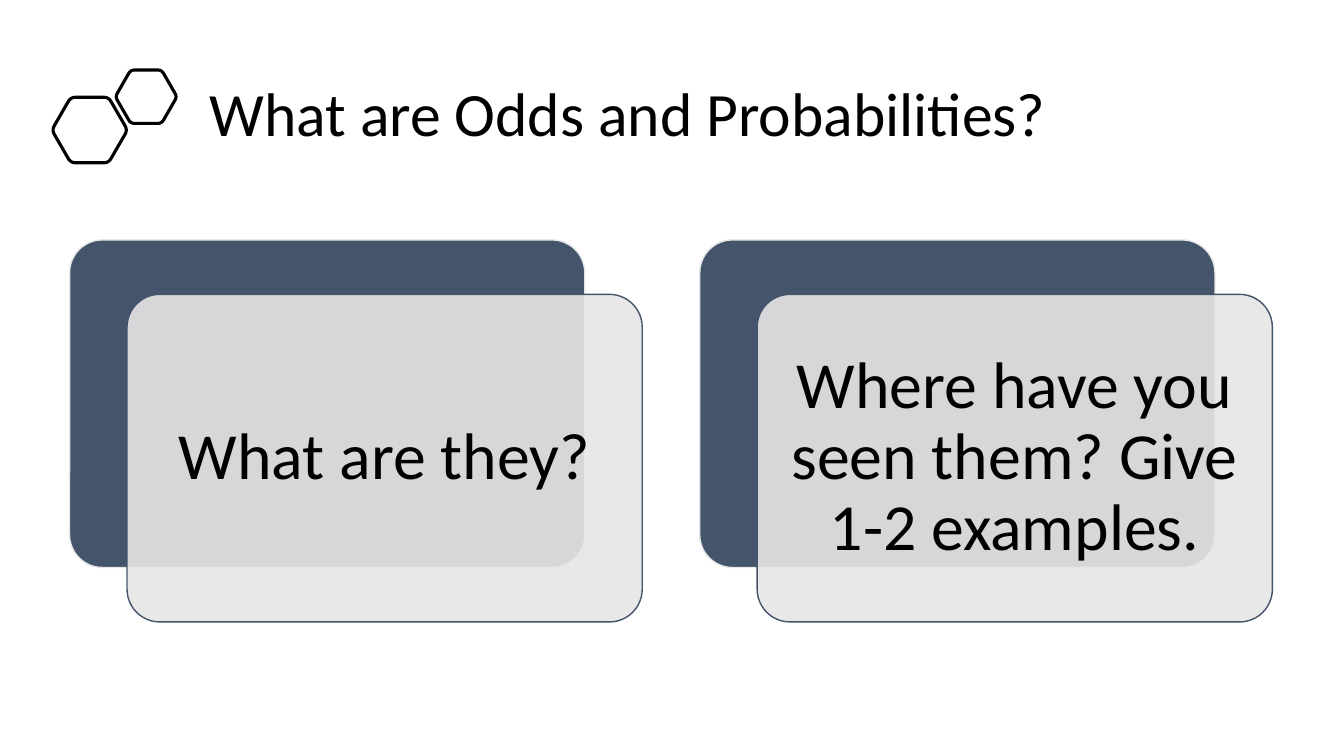
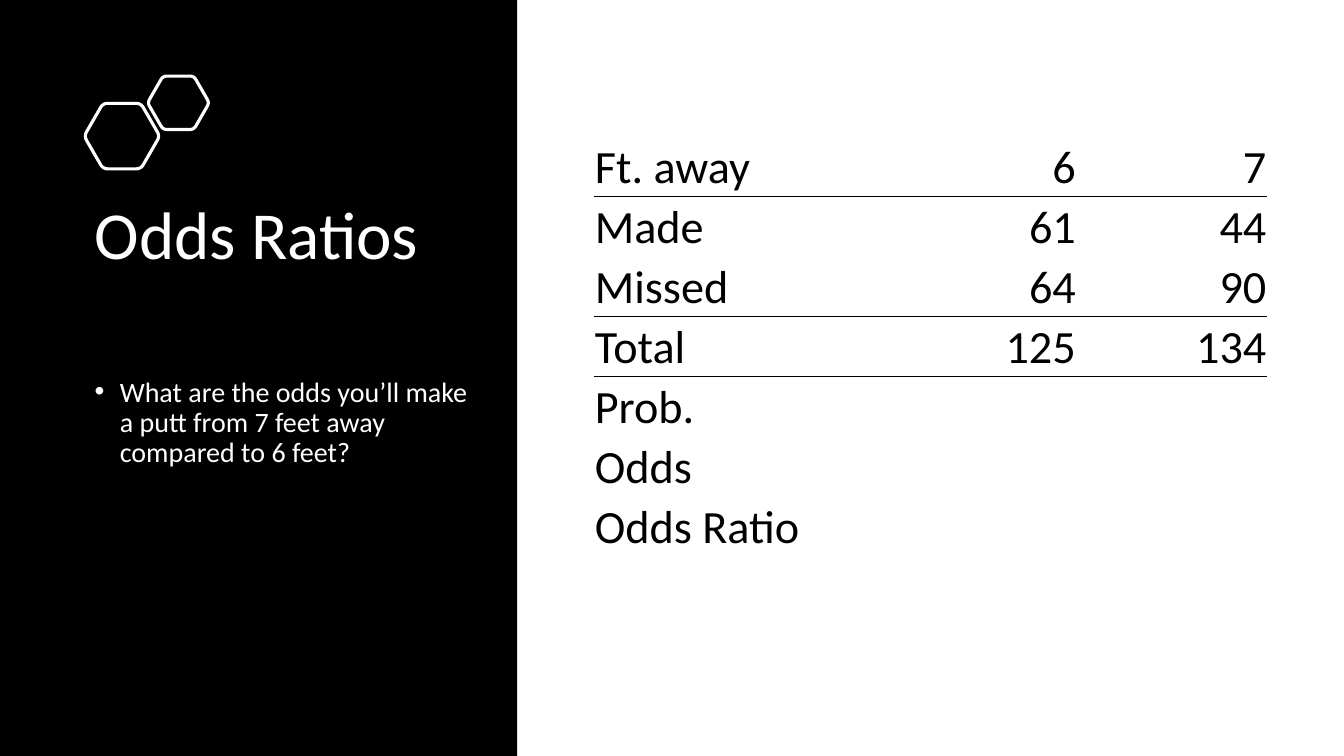
import math

from lxml import etree
from pptx import Presentation
from pptx.dml.color import RGBColor
from pptx.enum.shapes import MSO_SHAPE
from pptx.enum.text import MSO_ANCHOR, PP_ALIGN
from pptx.oxml.ns import qn
from pptx.util import Inches, Pt

RECT, ROUNDED = MSO_SHAPE.RECTANGLE, MSO_SHAPE.ROUNDED_RECTANGLE
TOP, MIDDLE, BOTTOM = MSO_ANCHOR.TOP, MSO_ANCHOR.MIDDLE, MSO_ANCHOR.BOTTOM
LEFT, CENTER, RIGHT = PP_ALIGN.LEFT, PP_ALIGN.CENTER, PP_ALIGN.RIGHT

FONT = "Calibri"
COLORS = {"black": "000000", "white": "FFFFFF", "slate": "44546A", "pale": "E7E6E6"}


def rgb(name):
    return RGBColor.from_string(COLORS[name])


def write(tf, text, size, color="black", align=LEFT, anchor=TOP, spacing=0.9):
    tf.text = text
    tf.word_wrap = True
    tf.vertical_anchor = anchor
    p = tf.paragraphs[0]
    p.alignment = align
    p.line_spacing = spacing
    for r in p.runs:
        r.font.name, r.font.size = FONT, Pt(size)
        r.font.color.rgb = rgb(color)
    return p


def add_text(s, x, y, w, h, text, size, color="black", anchor=TOP):
    box = s.shapes.add_textbox(Inches(x), Inches(y), Inches(w), Inches(h))
    return write(box.text_frame, text, size, color, anchor=anchor)


def add_bullet(p, indent):
    p.space_before = Pt(10)
    pPr = p._p.get_or_add_pPr()
    pPr.set("marL", str(Inches(indent)))
    pPr.set("indent", str(-Inches(indent)))
    etree.SubElement(pPr, qn("a:buFont"), typeface="Arial")
    etree.SubElement(pPr, qn("a:buChar"), char="•")


def add_box(s, kind, x, y, w, h, fill, line=None, opacity=None):
    sp = s.shapes.add_shape(kind, Inches(x), Inches(y), Inches(w), Inches(h))
    sp.shadow.inherit = False
    sp.fill.solid()
    sp.fill.fore_color.rgb = rgb(fill)
    if opacity:
        color = sp.fill._xPr.find(qn("a:solidFill"))[0]
        etree.SubElement(color, qn("a:alpha"), val=str(opacity * 1000))
    if line:
        sp.line.color.rgb = rgb(line)
        sp.line.width = Pt(1)
    else:
        sp.line.fill.background()
    return sp


def add_hexagon(s, cx, cy, height, color):
    """Regular hexagon whose corners are rounded with quadratic curves."""
    side = height / math.sqrt(3)
    corners = [(cx + side * math.cos(math.radians(a)), cy + side * math.sin(math.radians(a)))
               for a in range(0, 360, 60)]
    cut, steps = 0.13, 6
    points = []
    for i, (x, y) in enumerate(corners):
        (px, py), (nx, ny) = corners[i - 1], corners[(i + 1) % 6]
        for k in range(steps + 1):
            t = k / steps
            before, after = cut * (1 - t) ** 2, cut * t ** 2
            points.append((Inches(x + before * (px - x) + after * (nx - x)),
                           Inches(y + before * (py - y) + after * (ny - y))))
    builder = s.shapes.build_freeform(*points[0])
    builder.add_line_segments(points[1:], close=True)
    sp = builder.convert_to_shape()
    sp.shadow.inherit = False
    sp.fill.background()
    sp.line.color.rgb = rgb(color)
    sp.line.width = Pt(2.25)


def add_hexagon_pair(s, cx, cy, color):
    add_hexagon(s, cx, cy, 0.65, color)
    add_hexagon(s, cx + 0.56, cy - 0.33, 0.53, color)


def add_card(s, x, y, text):
    w, h, shift_x, shift_y = 5.11, 3.25, 0.57, 0.54
    back = add_box(s, ROUNDED, x, y, w, h, "slate", "pale")
    front = add_box(s, ROUNDED, x + shift_x, y + shift_y, w, h, "pale", "slate", opacity=90)
    for sp in (back, front):
        sp.adjustments[0] = 0.1
    tf = front.text_frame
    tf.margin_left = tf.margin_right = tf.margin_top = tf.margin_bottom = Inches(0.2)
    write(tf, text, 47, align=CENTER, anchor=MIDDLE)


def set_borders(cell, ruled):
    """Draw black rules on the named sides and none on the others."""
    tcPr = cell._tc.get_or_add_tcPr()
    for i, side in enumerate(("lnL", "lnR", "lnT", "lnB")):
        ln = etree.Element(qn("a:" + side), w=str(Pt(1)))
        if side in ruled:
            fill = etree.SubElement(ln, qn("a:solidFill"))
            etree.SubElement(fill, qn("a:srgbClr"), val=COLORS["black"])
        else:
            etree.SubElement(ln, qn("a:noFill"))
        tcPr.insert(i, ln)


def add_ruled_table(s, x, y, widths, height, rows, ruled_rows):
    """Table with a rule below each row listed in ruled_rows."""
    table = s.shapes.add_table(len(rows), len(widths), Inches(x), Inches(y),
                               Inches(sum(widths)), Inches(height)).table
    table.first_row = table.horz_banding = False
    for col, width in zip(table.columns, widths):
        col.width = Inches(width)
    for i, values in enumerate(rows):
        table.rows[i].height = Inches(height / len(rows))
        ruled = [side for side, row in (("lnT", i - 1), ("lnB", i)) if row in ruled_rows]
        for j in range(len(widths)):
            cell = table.cell(i, j)
            cell.fill.background()
            cell.margin_left = cell.margin_right = cell.margin_top = Inches(0.01)
            cell.margin_bottom = 0
            cell.vertical_anchor = BOTTOM
            set_borders(cell, ruled)
            if j < len(values):
                write(cell.text_frame, values[j], 33, align=RIGHT if j else LEFT,
                      anchor=None, spacing=1.0)
    return table


def build_questions(s):
    add_text(s, 1.98, 0.57, 10.81, 1.17, "What are Odds and Probabilities?", 44, anchor=MIDDLE)
    add_hexagon_pair(s, 0.89, 1.29, "black")
    questions = ("What are they?", "Where have you seen them? Give 1-2 examples.")
    for i, text in enumerate(questions):
        add_card(s, 0.69 + 6.25 * i, 2.38, text)


def build_odds_ratios(s):
    # Dark side panel
    add_box(s, RECT, 0, 0, 5.13, 7.5, "black")
    add_text(s, 0.84, 1.95, 3.92, 1.6, "Odds Ratios", 48, "white")
    add_hexagon_pair(s, 1.21, 1.35, "white")
    p = add_text(s, 0.84, 3.7, 3.92, 3.05,
                 "What are the odds you’ll make a putt from 7 feet away compared to 6 feet?",
                 20, "white")
    add_bullet(p, 0.25)

    # Putting results
    rows = [("Ft. away", "6", "7"), ("Made", "61", "44"), ("Missed", "64", "90"),
            ("Total", "125", "134"), ("Prob.",), ("Odds",), ("Odds Ratio",)]
    table = add_ruled_table(s, 5.89, 1.35, (2.9, 1.89, 1.89), 4.17, rows, ruled_rows=(0, 2, 3))
    table.cell(6, 1).merge(table.cell(6, 2))


def main():
    prs = Presentation()
    prs.slide_width, prs.slide_height = Inches(13.33), Inches(7.5)
    for build in (build_questions, build_odds_ratios):
        build(prs.slides.add_slide(prs.slide_layouts[6]))
    prs.save("out.pptx")


main()
